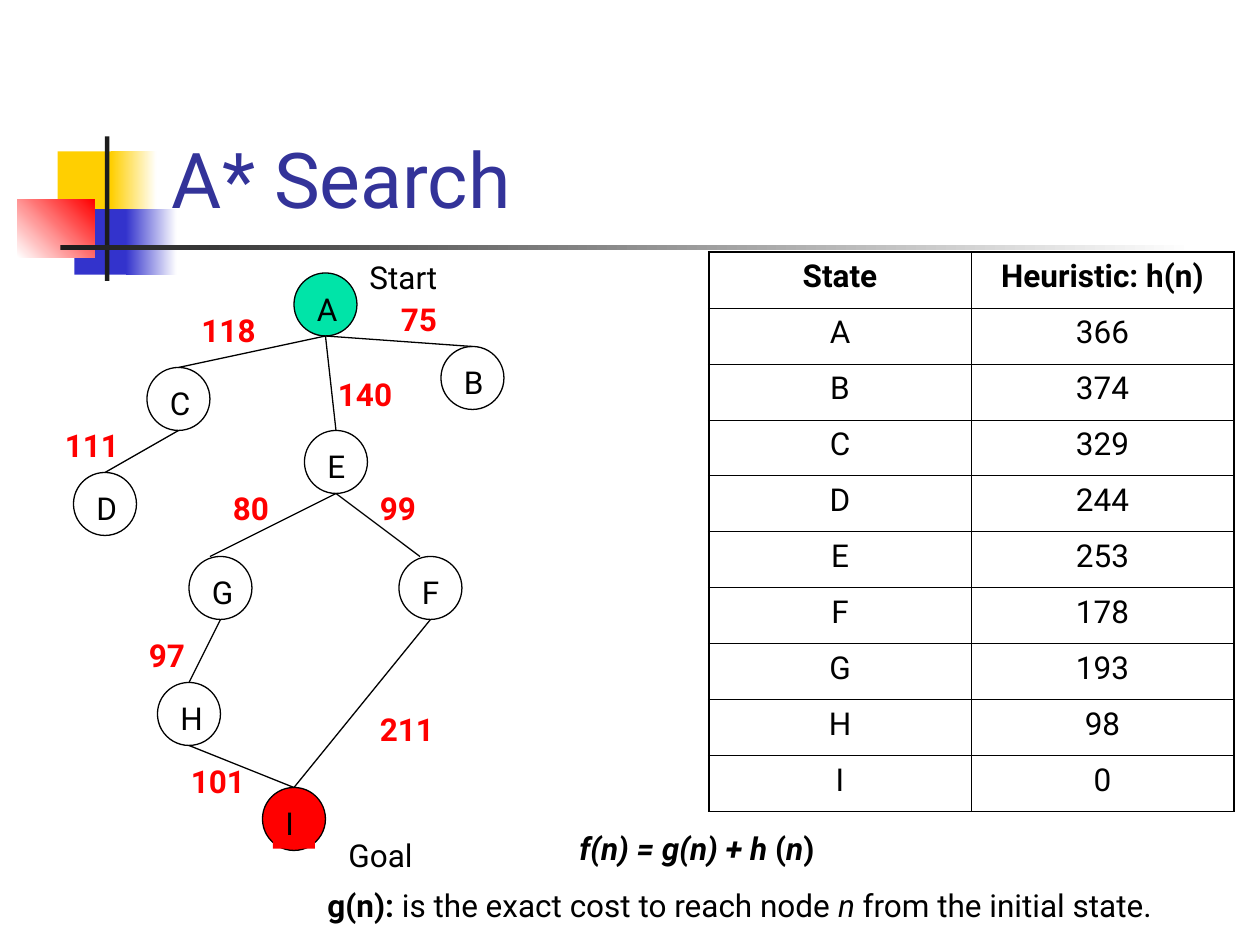
import pptx
import pptx.chart.data
import pptx.dml.color
import pptx.enum.shapes
import pptx.enum.text
import pptx.oxml
import pptx.oxml.ns
import pptx.util
from lxml import etree

Pt = pptx.util.Pt
SHAPES = pptx.enum.shapes.MSO_SHAPE
ALIGN = pptx.enum.text.PP_ALIGN
FONT = "Roboto"
COLORS = {
    "black": "000000", "white": "FFFFFF", "red": "FF0000", "green": "00E4A8",
    "yellow": "FFCF01", "blue": "3333CC", "title": "333399", "dark": "1C1C1C",
}

TITLE = "A* Search"
# left, top, width, height, colours (two make a gradient), gradient angle
ORNAMENTS = [
    (33, 86.5, 34.5, 37.5, ["yellow"], 0),
    (63.5, 86.5, 26, 37.5, ["yellow", "white"], 0),
    (42.5, 119.5, 33, 37.5, ["blue"], 0),
    (72, 119.5, 29, 37.5, ["blue", "white"], 0),
    (10, 114, 44, 33, ["white", "red"], 45),
    (60, 78, 2.5, 82.5, ["dark"], 0),
    (34.5, 140.2, 648, 2.5, ["dark", "white"], 0),
]
HEURISTICS = [
    ("State", "Heuristic: h(n)"),
    ("A", "366"), ("B", "374"), ("C", "329"), ("D", "244"), ("E", "253"),
    ("F", "178"), ("G", "193"), ("H", "98"), ("I", "0"),
]
# left and top of each circle
NODES = {
    "A": (168, 156), "B": (252, 198), "C": (84, 210), "D": (42, 270), "E": (174, 246),
    "F": (228, 318), "G": (108, 318), "H": (90, 390), "I": (150, 450),
}
NODE_FILLS = {"A": "green", "I": "red"}
# parent, child, cost, left and top of the cost, shift of the line's end
EDGES = [
    ("A", "B", "75", 222, 168, 0), ("A", "C", "118", 108, 174, 0),
    ("A", "E", "140", 186, 211, 0), ("C", "D", "111", 30, 240, 0),
    ("E", "F", "99", 210, 276, -6), ("E", "G", "80", 126, 276, -6),
    ("F", "I", "211", 210, 402, 0), ("G", "H", "97", 78, 360, 0),
    ("H", "I", "101", 102, 432, 0),
]
CAPTIONS = [("Start", 204, 144), ("Goal", 192, 474)]
# text, bold, italic
FORMULA = [("f(n) = g(n) + h ", True, True), ("(", True, False),
           ("n", True, True), (")", True, False)]
DEFINITION = [("g(n): ", True, False), ("is the exact cost to reach node ", False, False),
              ("n", False, True), (" from the initial state.", False, False)]

NODE_SIZE = 36
LABEL_HEIGHT = 29
TABLE_LEFT, TABLE_TOP, COLUMN_WIDTH, ROW_HEIGHT = 405, 144, 150, 32
OUTER_LINE, INNER_LINE = 1.08, 0.45


def rgb(name):
    return pptx.dml.color.RGBColor.from_string(COLORS[name])


def write(para, text, size=18, color="black", bold=False, italic=False):
    span = para.add_run()
    span.text = text
    span.font.name = FONT
    span.font.size = Pt(size)
    span.font.bold = bold
    span.font.italic = italic
    span.font.color.rgb = rgb(color)


def add_text_box(slide, left, top, width, height, text=None, **style):
    box = slide.shapes.add_textbox(Pt(left), Pt(top), Pt(width), Pt(height))
    box.text_frame.word_wrap = True
    if text:
        write(box.text_frame.paragraphs[0], text, **style)
    return box


def add_ornament(slide, left, top, width, height, colors, angle):
    shape = slide.shapes.add_shape(SHAPES.RECTANGLE, Pt(left), Pt(top), Pt(width), Pt(height))
    shape.shadow.inherit = False
    shape.line.fill.background()
    if len(colors) == 1:
        shape.fill.solid()
        shape.fill.fore_color.rgb = rgb(colors[0])
        return
    shape.fill.gradient()
    shape.fill.gradient_angle = angle
    for stop, position, color in zip(shape.fill.gradient_stops, (0, 1), colors):
        stop.position = position
        stop.color.rgb = rgb(color)


def add_title(slide):
    title = slide.shapes.title
    title.left, title.top, title.width, title.height = Pt(91), Pt(16.5), Pt(613), Pt(115)
    frame = title.text_frame
    frame.auto_size = pptx.enum.text.MSO_AUTO_SIZE.NONE
    frame.vertical_anchor = pptx.enum.text.MSO_ANCHOR.BOTTOM
    frame.paragraphs[0].alignment = ALIGN.LEFT
    write(frame.paragraphs[0], TITLE, size=44, color="title")
    slide.shapes.element.append(title.element)  # in front of the ornaments


def add_node(slide, name):
    left, top = NODES[name]
    circle = slide.shapes.add_shape(
        SHAPES.OVAL, Pt(left), Pt(top), Pt(NODE_SIZE), Pt(NODE_SIZE))
    circle.shadow.inherit = False
    circle.line.color.rgb = rgb("black")
    circle.line.width = Pt(0.75)
    circle.fill.background()
    label = add_text_box(slide, left + 6, top + 6, 24, LABEL_HEIGHT, name)
    if name in NODE_FILLS:
        circle.fill.solid()
        circle.fill.fore_color.rgb = rgb(NODE_FILLS[name])
    if name == "I":
        label.fill.solid()
        label.fill.fore_color.rgb = rgb("red")


def add_edge(slide, parent, child, cost, cost_left, cost_top, shift):
    """Join the foot of the parent to the head of the child and write the cost."""
    (start_left, start_top), (end_left, end_top) = NODES[parent], NODES[child]
    line = slide.shapes.add_connector(
        pptx.enum.shapes.MSO_CONNECTOR.STRAIGHT,
        Pt(start_left + NODE_SIZE / 2), Pt(start_top + NODE_SIZE),
        Pt(end_left + NODE_SIZE / 2 + shift), Pt(end_top))
    line.line.color.rgb = rgb("black")
    line.line.width = Pt(0.75)
    etree.SubElement(line.element.spPr, pptx.oxml.ns.qn("a:effectLst"))
    width = 48 if len(cost) == 2 else 60
    add_text_box(slide, cost_left, cost_top, width, LABEL_HEIGHT, cost, color="red", bold=True)


def set_borders(cell, outer):
    """Draw the four sides of a cell; outer names the sides on the table's rim."""
    properties = cell._tc.get_or_add_tcPr()
    for side in "LRTB":
        width = Pt(OUTER_LINE if side in outer else INNER_LINE)
        line = etree.SubElement(properties, pptx.oxml.ns.qn("a:ln" + side), w=str(int(width)))
        fill = etree.SubElement(line, pptx.oxml.ns.qn("a:solidFill"))
        etree.SubElement(fill, pptx.oxml.ns.qn("a:srgbClr"), val=COLORS["black"])


def add_heuristics(slide):
    rows, columns = len(HEURISTICS), len(HEURISTICS[0])
    table = slide.shapes.add_table(
        rows, columns, Pt(TABLE_LEFT), Pt(TABLE_TOP),
        Pt(COLUMN_WIDTH * columns), Pt(ROW_HEIGHT * rows)).table
    table.first_row = table.horz_banding = False
    for row, values in enumerate(HEURISTICS):
        table.rows[row].height = Pt(ROW_HEIGHT)
        for column, value in enumerate(values):
            cell = table.cell(row, column)
            para = cell.text_frame.paragraphs[0]
            para.alignment = ALIGN.CENTER
            write(para, value, bold=row == 0)
            outer = "LR"[column] + {0: "T", rows - 1: "B"}.get(row, "")
            set_borders(cell, outer)
            cell.fill.background()


def add_notation(slide):
    frame = add_text_box(slide, 180, 470, 522, 62).text_frame
    formula, definition = frame.paragraphs[0], frame.add_paragraph()
    formula._p.get_or_add_pPr().set("marL", str(int(Pt(144))))
    definition.space_before = Pt(11.2)
    for para, spans in ((formula, FORMULA), (definition, DEFINITION)):
        for text, bold, italic in spans:
            write(para, text, bold=bold, italic=italic)


def main():
    deck = pptx.Presentation()
    deck.slide_width, deck.slide_height = Pt(720), Pt(540)
    slide = deck.slides.add_slide(deck.slide_layouts.get_by_name("Title Only"))
    for ornament in ORNAMENTS:
        add_ornament(slide, *ornament)
    add_title(slide)
    add_notation(slide)
    add_heuristics(slide)
    for name in NODES:
        add_node(slide, name)
    for edge in EDGES:
        add_edge(slide, *edge)
    for text, left, top in CAPTIONS:
        add_text_box(slide, left, top, 96, LABEL_HEIGHT, text)
    deck.save("out.pptx")


if __name__ == "__main__":
    main()
